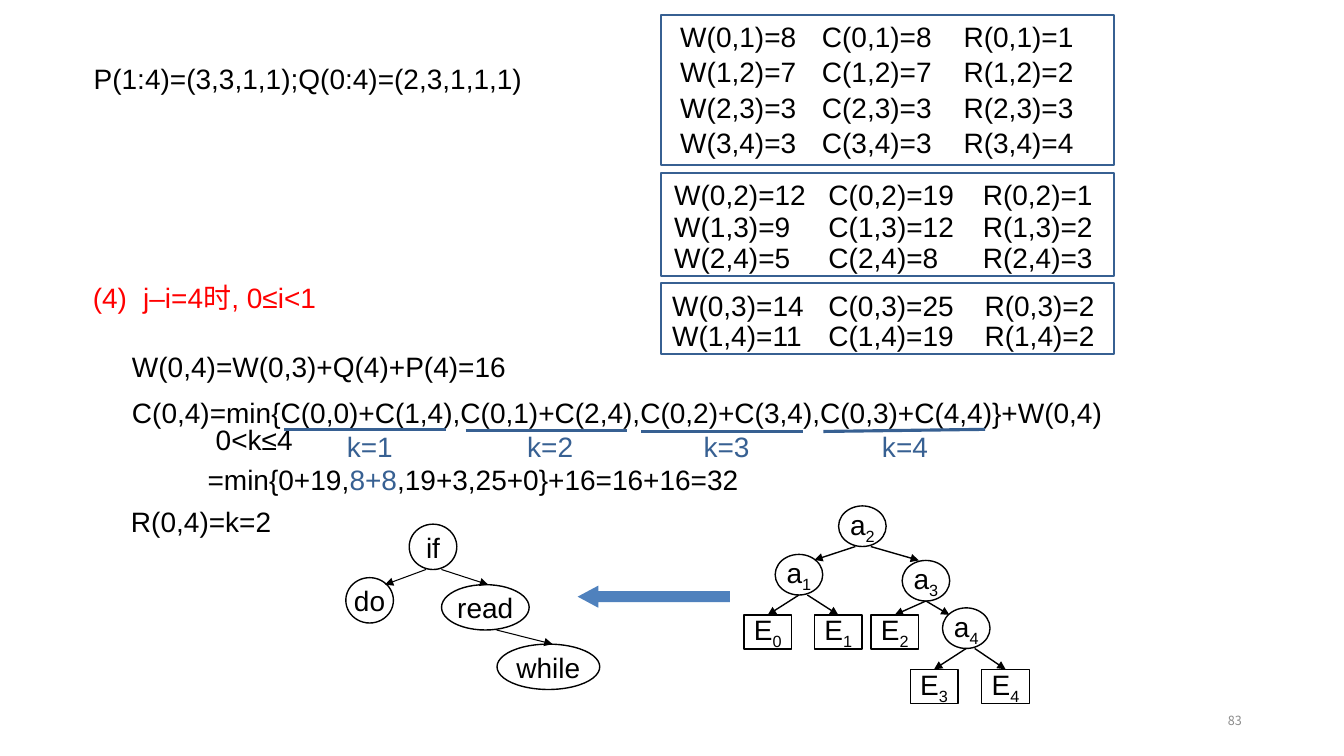
from lxml import etree
from pptx import Presentation
from pptx import util as u
from pptx.dml.color import RGBColor
from pptx.enum import shapes, text
from pptx.oxml.ns import qn

BLACK = RGBColor(0, 0, 0)
RED = RGBColor(0xFF, 0, 0)
NAVY = RGBColor(0x37, 0x60, 0x92)
BLUE = RGBColor(0x4F, 0x81, 0xBD)
GREY = RGBColor(0x8C, 0x8C, 0x8C)
Pt = u.Pt

# left, top, width, line spacing, runs of (wording, colour)
FORMULAS = [
    (64, 44, 332, 0.9, [("P(1:4)=(3,3,1,1);Q(0:4)=(2,3,1,1,1)", BLACK)]),
    (63.4, 197.3, 230, 1, [("(4)\tj–i=4时, 0≤i<1", RED)]),
    (91.4, 247, 310, 1, [("W(0,4)=W(0,3)+Q(4)+P(4)=16", BLACK)]),
    (91.4, 279.4, 714, 1,
     [("C(0,4)=min{C(0,0)+C(1,4),C(0,1)+C(2,4),C(0,2)+C(3,4),C(0,3)+C(4,4)}+W(0,4)", BLACK)]),
    (151.2, 305.3, 68, 0.7, [("0<k≤4", BLACK)]),
    (145.4, 327.6, 488, 1,
     [("=min{0+19,", BLACK), ("8+8", NAVY), (",19+3,25+0}+16=16+16=32", BLACK)]),
    (90.7, 357.8, 130, 1, [("R(0,4)=k=2", BLACK)]),
]
ITEM_TAB = 36

# label, label left, underline left, start y, end y
CANDIDATES = [
    ("k=1", 244.8, 203, 306.7, 306.7),
    ("k=2", 373.7, 332.6, 307.4, 307.4),
    ("k=3", 499.7, 457.9, 308.2, 308.2),
    ("k=4", 627.1, 588.2, 308.2, 306.7),
]
UNDERLINE_WIDTH = 115.5
CANDIDATE_TOP = 312.5

# frame top, frame height, first column, column step, first row, row step, rows
FRAME_LEFT, FRAME_WIDTH = 472.3, 323.3
RESULTS = [
    (10.8, 107.3, 478.8, 101.2, 10.1, 25.4, [
        ("W(0,1)=8", "C(0,1)=8", "R(0,1)=1"),
        ("W(1,2)=7", "C(1,2)=7", "R(1,2)=2"),
        ("W(2,3)=3", "C(2,3)=3", "R(2,3)=3"),
        ("W(3,4)=3", "C(3,4)=3", "R(3,4)=4")]),
    (123.8, 73.4, 474.5, 110.2, 123.1, 22.7, [
        ("W(0,2)=12", "C(0,2)=19", "R(0,2)=1"),
        ("W(1,3)=9", "C(1,3)=12", "R(1,3)=2"),
        ("W(2,4)=5", "C(2,4)=8", "R(2,4)=3")]),
    (202.3, 50.4, 473, 111.6, 202.3, 21.9, [
        ("W(0,3)=14", "C(0,3)=25", "R(0,3)=2"),
        ("W(1,4)=11", "C(1,4)=19", "R(1,4)=2")]),
]

# name: left, top, width (a name such as a2 shows its digit as a subscript)
WORD_NODES = {
    "if": (292.3, 374.4, 34), "do": (247, 412.6, 34),
    "read": (315.4, 417.6, 62.6), "while": (355, 460.1, 73.4),
}
KEY_NODES = {
    "a2": (599, 361.4, 34), "a1": (553.7, 396, 34),
    "a3": (644.4, 400.3, 34), "a4": (673.2, 434.2, 34),
}
GAP_NODES = {
    "E0": (531.4, 439.2, 34), "E1": (581.8, 439.2, 34), "E2": (622.1, 439.2, 34),
    "E3": (650.2, 478.1, 34), "E4": (701.3, 478.1, 34),
}
# parent, child, start shift from the parent's foot, end shift from the child's top
WORD_EDGES = [
    ("if", "do", -5, (11, 5)), ("if", "read", 6, (2, 0)), ("read", "while", 8, (3, 0)),
]
KEY_EDGES = [
    ("a2", "a1", -5, (11, 4)), ("a2", "a3", 6, (-5, 0)),
    ("a1", "E0", 0, (0, 0)), ("a1", "E1", 6, (0, 0)),
    ("a3", "E2", 0, (0, 0)), ("a3", "a4", 0, (-12, 5)),
    ("a4", "E3", 0, (0, 0)), ("a4", "E4", 6, (0, 0)),
]

prs = Presentation()
prs.slide_width, prs.slide_height = Pt(960), Pt(540)
slide = prs.slides.add_slide(prs.slide_layouts[6])


def add_run(paragraph, wording, color, size=20, font="Arial"):
    run = paragraph.add_run()
    run.text = wording
    run.font.size, run.font.name, run.font.color.rgb = Pt(size), font, color
    east_asian = etree.SubElement(run._r.get_or_add_rPr(), qn("a:ea"))
    east_asian.set("typeface", "Noto Sans CJK SC")
    return run


def add_text(left, top, width, height, runs, spacing=1, inset=(2.88, 2.88), **style):
    frame = slide.shapes.add_textbox(Pt(left), Pt(top), Pt(width), Pt(height)).text_frame
    frame.word_wrap = True
    frame.margin_left = frame.margin_right = Pt(inset[0])
    frame.margin_top = frame.margin_bottom = Pt(inset[1])
    paragraph = frame.paragraphs[0]
    paragraph.line_spacing = spacing
    for wording, color in runs:
        add_run(paragraph, wording, color, **style)
    return frame


def add_outline(kind, left, top, width, height, color, weight):
    shape = slide.shapes.add_shape(kind, Pt(left), Pt(top), Pt(width), Pt(height))
    shape.shadow.inherit = False
    shape.fill.background()
    shape.line.color.rgb, shape.line.width = color, Pt(weight)
    return shape


def add_line(x1, y1, x2, y2, color, weight, arrow=False):
    line = slide.shapes.add_connector(
        shapes.MSO_CONNECTOR.STRAIGHT, Pt(x1), Pt(y1), Pt(x2), Pt(y2))
    line.line.color.rgb, line.line.width = color, Pt(weight)
    if arrow:
        etree.SubElement(line.line._get_or_add_ln(), qn("a:tailEnd")).set("type", "triangle")
    etree.SubElement(line._element.spPr, qn("a:effectLst"))


def add_nodes(nodes, kind, height):
    """Draw the nodes and return each one's centre x, top and foot."""
    anchors = {}
    for name, (left, top, width) in nodes.items():
        frame = add_outline(kind, left, top, width, height, BLACK, 1).text_frame
        frame.word_wrap = False
        frame.vertical_anchor = text.MSO_ANCHOR.MIDDLE
        frame.margin_left = frame.margin_right = frame.margin_top = frame.margin_bottom = 0
        label = frame.paragraphs[0]
        label.alignment = text.PP_ALIGN.CENTER
        letters = name.rstrip("0123456789")
        add_run(label, letters, BLACK)
        if letters != name:
            index = add_run(label, name[len(letters):], BLACK)
            index._r.rPr.set("baseline", "-25000")
        anchors[name] = (left + width / 2, top, top + height)
    return anchors


def add_edges(edges, anchors, weight):
    for parent, child, start_dx, (end_dx, end_dy) in edges:
        parent_x, _, foot = anchors[parent]
        child_x, top, _ = anchors[child]
        add_line(parent_x + start_dx, foot, child_x + end_dx, top + end_dy,
                 BLACK, weight, arrow=True)


for left, top, width, spacing, runs in FORMULAS:
    formula = add_text(left, top, width, 30, runs, spacing)
    if "\t" in runs[0][0]:
        properties = formula.paragraphs[0]._p.get_or_add_pPr()
        tabs = etree.SubElement(properties, qn("a:tabLst"))
        etree.SubElement(tabs, qn("a:tab"), pos=str(Pt(ITEM_TAB)), algn="l")

for label, label_left, left, start_y, end_y in CANDIDATES:
    add_line(left, start_y, left + UNDERLINE_WIDTH, end_y, NAVY, 2.25)
    add_text(label_left, CANDIDATE_TOP, 42.5, 21.6, [(label, NAVY)], 0.6)

for frame_top, frame_height, first_x, step_x, first_y, step_y, rows in RESULTS:
    for i, row in enumerate(rows):
        for j, value in enumerate(row):
            add_text(first_x + j * step_x, first_y + i * step_y, 112, 31.5,
                     [(value, BLACK)], inset=(7.2, 3.6))
    add_outline(shapes.MSO_SHAPE.RECTANGLE, FRAME_LEFT, frame_top,
                FRAME_WIDTH, frame_height, NAVY, 1.5)

words = add_nodes(WORD_NODES, shapes.MSO_SHAPE.OVAL, 32.4)
add_edges(WORD_EDGES, words, 0.75)
keys = add_nodes(KEY_NODES, shapes.MSO_SHAPE.OVAL, 29)
keys.update(add_nodes(GAP_NODES, shapes.MSO_SHAPE.RECTANGLE, 24.5))
add_edges(KEY_EDGES, keys, 1)

becomes = add_outline(shapes.MSO_SHAPE.LEFT_ARROW, 412.6, 418.3, 108.7, 15.8, BLUE, 1)
becomes.fill.solid()
becomes.fill.fore_color.rgb = BLUE
becomes.line.fill.background()
becomes.adjustments[0], becomes.adjustments[1] = 0.5, 0.935

page = add_text(678.2, 500.4, 216, 28.8, [("83", GREY)], inset=(7.2, 3.6),
                size=9, font="Noto Sans CJK SC")
page.vertical_anchor = text.MSO_ANCHOR.MIDDLE
page.paragraphs[0].alignment = text.PP_ALIGN.RIGHT

prs.save("out.pptx")
